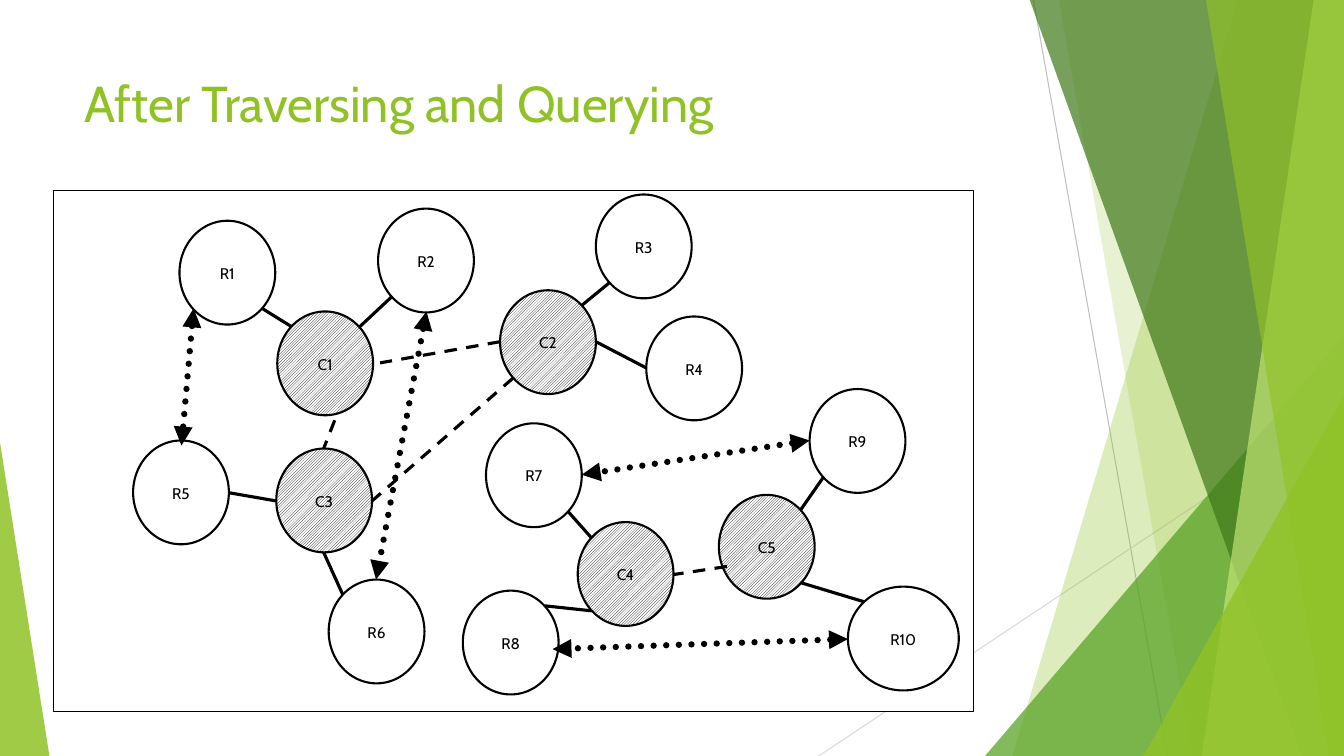
from pptx import Presentation
from pptx import util as u
from pptx.dml.color import RGBColor
from pptx.enum import dml, shapes, text
from pptx.oxml.ns import qn
from lxml import etree

PX = 9144  # EMU per px, 100 px to the inch
WIDTH, HEIGHT = 1333, 750
GREEN, BLACK, WHITE = "90C226", "000000", "FFFFFF"


def px(*lengths):
    return [u.Emu(length * PX) for length in lengths]


def rgb(hex_colour):
    return RGBColor.from_string(hex_colour)


class GraphSlide:
    font_name = "Cabin"

    def __init__(self, slide):
        self.shapes = slide.shapes

    def set_font(self, paragraph, size, colour):
        paragraph.font.name = self.font_name
        paragraph.font.size = u.Pt(size)
        paragraph.font.color.rgb = rgb(colour)

    def tint(self, shape, colour, opacity):
        """Fill with a see-through colour (opacity in percent) and no outline."""
        shape.shadow.inherit = False
        shape.fill.solid()
        shape.fill.fore_color.rgb = rgb(colour)
        shape.line.fill.background()
        fill_colour = next(shape.element.spPr.iter(qn("a:srgbClr")))
        etree.SubElement(fill_colour, qn("a:alpha"), val=str(opacity * 1000))

    def facet(self, corners, colour, opacity):
        outline = self.shapes.build_freeform(*corners[0], scale=PX)
        outline.add_line_segments(corners[1:], close=True)
        self.tint(outline.convert_to_shape(), colour, opacity)

    def triangle(self, box, apex, colour, opacity):
        """Triangle whose apex lies at a fraction of its width."""
        wedge = self.shapes.add_shape(shapes.MSO_SHAPE.ISOSCELES_TRIANGLE, *px(*box))
        wedge.adjustments[0] = apex
        self.tint(wedge, colour, opacity)

    def line(self, start, end, weight, colour=BLACK, dash=None, arrows=False):
        link = self.shapes.add_connector(
            shapes.MSO_CONNECTOR.STRAIGHT, *px(*start, *end))
        link.line.width = u.Pt(weight)
        link.line.color.rgb = rgb(colour)
        if dash:
            link.line.dash_style = dash
        if arrows:
            stroke = link.line._get_or_add_ln()
            stroke.set("cap", "rnd")
            for tip in ("a:headEnd", "a:tailEnd"):
                etree.SubElement(stroke, qn(tip), type="triangle")
        etree.SubElement(link.element.spPr, qn("a:effectLst"))

    def title(self, box, wording):
        frame = self.shapes.add_textbox(*px(*box)).text_frame
        frame.word_wrap = True
        heading = frame.paragraphs[0]
        heading.text = wording
        self.set_font(heading, 36, GREEN)

    def outlined(self, kind, box, weight):
        shape = self.shapes.add_shape(kind, *px(*box))
        shape.shadow.inherit = False
        shape.line.color.rgb = rgb(BLACK)
        shape.line.width = u.Pt(weight)
        return shape

    def frame(self, box):
        panel = self.outlined(shapes.MSO_SHAPE.RECTANGLE, box, 0.75)
        panel.fill.solid()
        panel.fill.fore_color.rgb = rgb(WHITE)

    def node(self, name, left, top, width=95, height=103):
        """Circle of the graph; those named C are hatched."""
        circle = self.outlined(shapes.MSO_SHAPE.OVAL, (left, top, width, height), 1.5)
        if name.startswith("C"):
            circle.fill.patterned()
            circle.fill.pattern = dml.MSO_PATTERN.LIGHT_UPWARD_DIAGONAL
            circle.fill.fore_color.rgb = rgb(BLACK)
            circle.fill.back_color.rgb = rgb(WHITE)
        else:
            circle.fill.background()
        circle.text_frame.vertical_anchor = text.MSO_ANCHOR.MIDDLE
        label = circle.text_frame.paragraphs[0]
        label.text = name
        label.alignment = text.PP_ALIGN.CENTER
        label.line_spacing = 1.06
        label.space_after = u.Pt(8)
        self.set_font(label, 11, BLACK)


# Top-left, top-right, bottom-right and bottom-left x of each band, colour, opacity
BACK_BANDS = [
    (1228, WIDTH, WIDTH, 1004, GREEN, 30),
    (1050, WIDTH, WIDTH, 1183, GREEN, 20),
]
FRONT_BANDS = [
    (1021, WIDTH, WIDTH, 1291, "3F7819", 70),
    (1303, WIDTH, WIDTH, 1192, "C0E474", 70),
    (1196, WIDTH, WIDTH, 1318, GREEN, 65),
]
NODES = [
    ("C1", 275, 309), ("R6", 326, 575), ("R5", 132, 437), ("R4", 641, 314),
    ("R3", 591, 193), ("R1", 178, 219), ("R2", 375, 207), ("C4", 573, 518),
    ("C3", 274, 445), ("C2", 496, 288), ("R8", 459, 586), ("R7", 482, 420),
    ("C5", 713, 491), ("R10", 841, 582, 110), ("R9", 803, 386),
]
MEMBER_LINKS = [
    ((260, 306), (289, 324)), ((389, 294), (357, 324)),
    ((274, 497), (228, 489)), ((321, 548), (340, 590)),
    ((605, 280), (577, 303)), ((641, 365), (591, 339)),
    ((587, 534), (563, 507)), ((587, 606), (540, 601)),
    ((817, 473), (794, 506)), ((857, 597), (794, 578)),
]
CENTRE_LINKS = [
    ((332, 417), (321, 445)), ((496, 339), (377, 360)),
    ((509, 375), (369, 497)), ((721, 562), (668, 570)),
]
QUERY_LINKS = [
    ((192, 306), (180, 442)), ((423, 309), (373, 575)),
    ((803, 437), (577, 471)), ((841, 634), (548, 644)),
]


def draw_bands(page, bands):
    for top_left, top_right, low_right, low_left, colour, opacity in bands:
        corners = [(top_left, -1), (top_right, -1), (low_right, HEIGHT), (low_left, HEIGHT)]
        page.facet(corners, colour, opacity)


def draw_backdrop(page):
    page.line((1025, 0), (1158, HEIGHT), 0.75, "BFBFBF")
    page.line((WIDTH, 403), (812, HEIGHT), 0.75, "D9D9D9")
    draw_bands(page, BACK_BANDS)
    page.triangle((977, 333, 356, 417), 1, "54A021", 72)
    draw_bands(page, FRONT_BANDS)
    page.triangle((1134, 393, 199, 357), 1, GREEN, 80)
    page.triangle((0, 439, 49, 311), 0, GREEN, 85)


def draw_graph(page):
    page.frame((53, 189, 913, 517))
    for node in NODES:
        page.node(*node)
    for start, end in MEMBER_LINKS:
        page.line(start, end, 2.25)
    for start, end in CENTRE_LINKS:
        page.line(start, end, 2.25, dash=dml.MSO_LINE.DASH)
    for start, end in QUERY_LINKS:
        page.line(start, end, 4.5, dash=dml.MSO_LINE.ROUND_DOT, arrows=True)


def main():
    deck = Presentation()
    deck.slide_width, deck.slide_height = px(WIDTH, HEIGHT)
    page = GraphSlide(deck.slides.add_slide(deck.slide_layouts[6]))
    draw_backdrop(page)
    page.title((74, 67, 940, 144), "After Traversing and Querying")
    draw_graph(page)
    deck.save("out.pptx")


if __name__ == "__main__":
    main()
